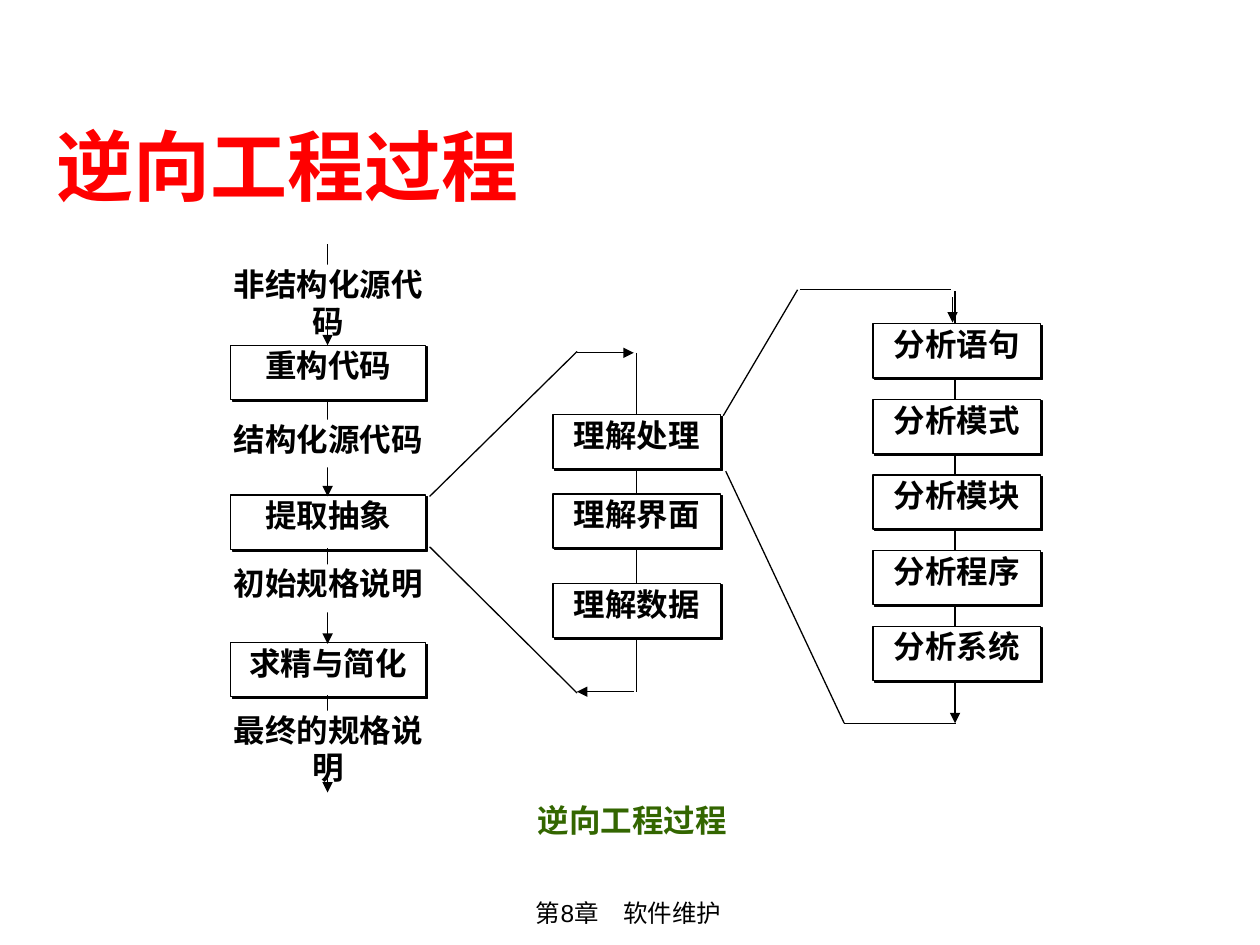
"""Build the reverse engineering process slide."""
from lxml.etree import SubElement as Sub
from pptx import Presentation
from pptx.dml.color import RGBColor as RGB
from pptx.enum.shapes import MSO_CONNECTOR as Link, MSO_SHAPE as Form
from pptx.enum.text import MSO_ANCHOR as Anchor, PP_ALIGN as Align
from pptx.oxml.ns import qn
from pptx.util import Pt

PX = 9144
THEME = {
    "ink": "000000", "paper": "FFFFFF", "red": "FF0000", "green": "336600",
    "serif": "Times New Roman", "sans": "Arial", "han": "Noto Sans CJK SC",
    "big": 44, "mid": 18, "small": 14, "line": 0.75, "shade": 1.4,
}
TITLE = "逆向工程过程"
FOOT = "第8章　软件维护"
BOX_H = 43

LEFT = {"x": 183, "w": 155, "boxes": [("重构代码", 274), ("提取抽象", 393), ("求精与简化", 510)]}
MID = {"x": 439, "w": 133, "boxes": [("理解处理", 329), ("理解界面", 392), ("理解数据", 463)]}
RIGHT = {"x": 693, "w": 133, "boxes": [
    (name, 257 + 60 * i)
    for i, name in enumerate(["分析语句", "分析模式", "分析模块", "分析程序", "分析系统"])]}
FLOWS = [(194, 274), (318, 394), (435, 511), (552, 629)]
LABELS = [("结构化源代码", 333), ("初始规格说明", 448),
          ("最终的规格说明", 564), ("非结构化源代码", 210)]
LINKS = [
    (341, 394, 458, 279, None), (341, 434, 458, 550, None),
    (458, 280, 503, 280, "tailEnd"), (458, 549, 503, 549, "headEnd"),
    (574, 330, 633, 230, None), (576, 374, 670, 574, None),
    (635, 230, 755, 230, None), (670, 574, 759, 574, None),
    (756, 236, 756, 256, "tailEnd"), (758, 554, 758, 574, "tailEnd"),
]


def tint(key):
    return RGB.from_string(THEME[key])


def write(frame, text, *, size="mid", face="serif", color="ink", bold=True,
          align=Align.CENTER, anchor=Anchor.TOP, pad=(0, 0, 0, 0)):
    frame.word_wrap = True
    frame.vertical_anchor = anchor
    (frame.margin_left, frame.margin_top,
     frame.margin_right, frame.margin_bottom) = [n * PX for n in pad]
    para = frame.paragraphs[0]
    para.alignment = align
    run = para.add_run()
    run.text = text
    font = run.font
    font.size, font.bold, font.name = Pt(THEME[size]), bold, THEME[face]
    font.color.rgb = tint(color)
    Sub(run._r.get_or_add_rPr(), qn("a:ea"), typeface=THEME["han"])


def block(slide, text, x, y, w, h, edge=False, **style):
    shape = slide.shapes.add_shape(Form.RECTANGLE, *[n * PX for n in (x, y, w, h)])
    shape.shadow.inherit = False
    shape.fill.solid()
    shape.fill.fore_color.rgb = tint("paper")
    if edge:
        shape.line.color.rgb = tint("ink")
        shape.line.width = Pt(THEME["line"])
        shade = Sub(shape._element.spPr.find(qn("a:effectLst")), qn("a:outerShdw"),
                    dist=str(Pt(THEME["shade"])), dir=str(45 * 60000),
                    algn="ctr", rotWithShape="0")
        Sub(shade, qn("a:srgbClr"), val=THEME["ink"])
    else:
        shape.line.fill.background()
    write(shape.text_frame, text, **style)


def line(slide, x1, y1, x2, y2, tip=None):
    wire = slide.shapes.add_connector(Link.STRAIGHT, *[n * PX for n in (x1, y1, x2, y2)])
    wire.line.color.rgb = tint("ink")
    wire.line.width = Pt(THEME["line"])
    if tip:
        Sub(wire.line._get_or_add_ln(), qn("a:" + tip), type="triangle")
    Sub(wire._element.spPr, qn("a:effectLst"))


def stack(slide, x, w, boxes):
    for name, y in boxes:
        block(slide, name, x, y, w, BOX_H, edge=True, pad=(0, 1, 0, 0))


def main():
    deck = Presentation()
    deck.slide_width, deck.slide_height = 1000 * PX, 750 * PX
    slide = deck.slides.add_slide(deck.slide_layouts[5])

    foot = slide.shapes.add_textbox(235 * PX, 708 * PX, 528 * PX, 34 * PX)
    write(foot.text_frame, FOOT, size="small", face="sans", bold=False, pad=(10, 5, 10, 5))

    head = slide.shapes.title
    head.left, head.top, head.width, head.height = [n * PX for n in (35, 83, 900, 95)]
    write(head.text_frame, TITLE, size="big", face="han", color="red",
          align=Align.LEFT, anchor=Anchor.MIDDLE, pad=(10, 5, 10, 5))

    line(slide, 505, 280, 505, 549)
    stack(slide, **MID)
    line(slide, 758, 231, 758, 571)
    stack(slide, **RIGHT)
    stack(slide, **LEFT)
    for top, end in FLOWS:
        line(slide, 260, top, 260, end, "tailEnd")
    for name, y in LABELS:
        block(slide, name, 177, y, 167, 38)
    for link in LINKS:
        line(slide, *link)
    block(slide, TITLE, 302, 635, 400, BOX_H, face="han", color="green", pad=(0, 1, 0, 0))
    deck.save("out.pptx")


if __name__ == "__main__":
    main()
